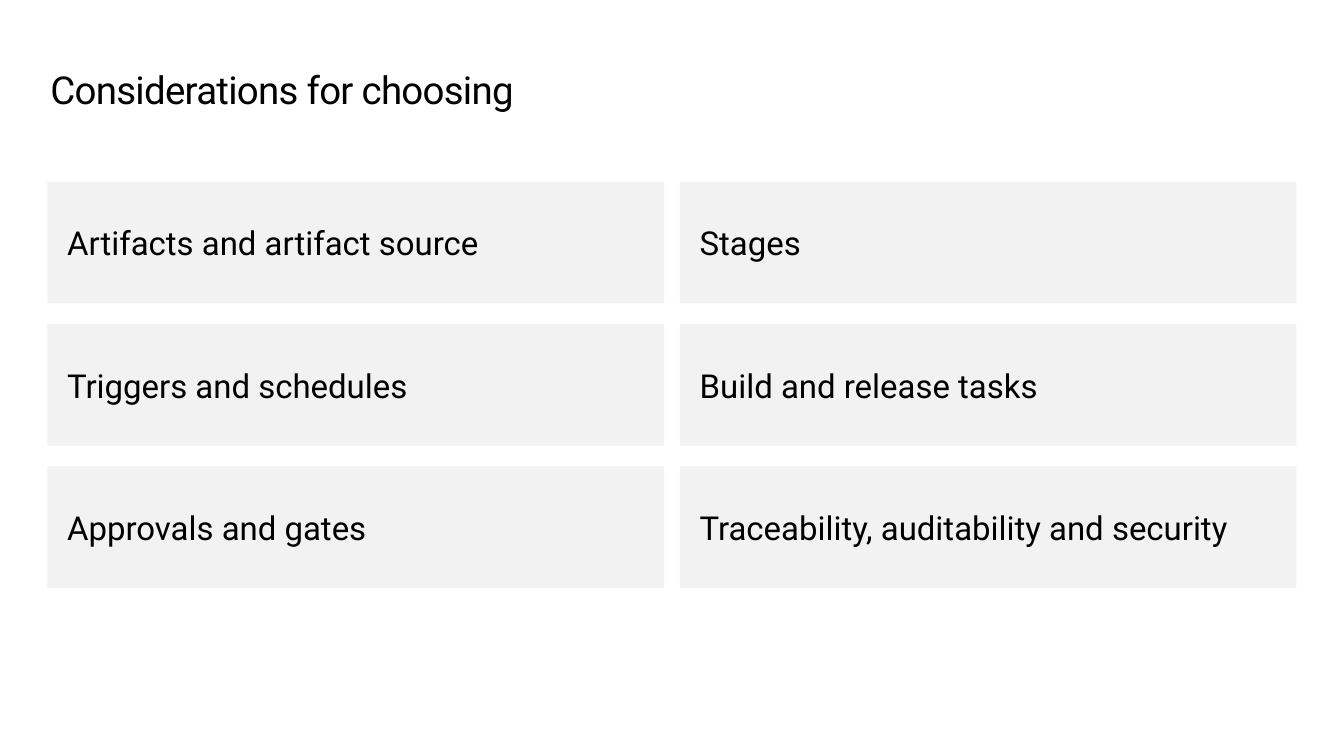
import dataclasses

import pptx
import pptx.dml.color
import pptx.enum.shapes
import pptx.enum.text
import pptx.util

Inches = pptx.util.Inches
Pt = pptx.util.Pt
RGB = pptx.dml.color.RGBColor


@dataclasses.dataclass(frozen=True)
class Theme:
    font: str = "Roboto"
    text: RGB = RGB(0, 0, 0)
    card: RGB = RGB(0xF2, 0xF2, 0xF2)
    title_size: Pt = Pt(28)
    card_size: Pt = Pt(24)


THEME = Theme()

TITLE = "Considerations for choosing"
COLUMNS = [
    ["Artifacts and artifact source", "Triggers and schedules",
     "Approvals and gates"],
    ["Stages", "Build and release tasks",
     "Traceability, auditability and security"],
]

CARD_LEFT, CARD_TOP = 0.48, 1.84
CARD_WIDTH, CARD_HEIGHT = 6.24, 1.23
COLUMN_STEP, ROW_STEP = 6.4, 1.44


def set_margins(tf, side, end):
    tf.margin_left = tf.margin_right = Inches(side)
    tf.margin_top = tf.margin_bottom = Inches(end)


def add_run(p, text, size):
    p.alignment = pptx.enum.text.PP_ALIGN.LEFT
    r = p.add_run()
    r.text = text
    r.font.name = THEME.font
    r.font.size = size
    r.font.color.rgb = THEME.text
    return r


def add_title(s, text):
    sp = s.shapes.title
    sp.left, sp.top = Inches(0.51), Inches(0.69)
    sp.width, sp.height = Inches(12.61), Inches(0.45)
    tf = sp.text_frame
    tf.word_wrap = True
    tf.auto_size = pptx.enum.text.MSO_AUTO_SIZE.SHAPE_TO_FIT_TEXT
    tf.vertical_anchor = pptx.enum.text.MSO_ANCHOR.TOP
    set_margins(tf, 0, 0)
    p = tf.paragraphs[0]
    p.line_spacing = Pt(32)
    r = add_run(p, text, THEME.title_size)
    r.font._element.set("spc", "-50")  # letter spacing, 1/100 pt


def add_card(s, text, left, top):
    sp = s.shapes.add_shape(
        pptx.enum.shapes.MSO_SHAPE.RECTANGLE, Inches(left), Inches(top),
        Inches(CARD_WIDTH), Inches(CARD_HEIGHT))
    sp.shadow.inherit = False
    sp.fill.solid()
    sp.fill.fore_color.rgb = THEME.card
    sp.line.fill.background()
    tf = sp.text_frame
    tf.word_wrap = True
    tf.vertical_anchor = pptx.enum.text.MSO_ANCHOR.MIDDLE
    set_margins(tf, 0.2, 0.15)
    add_run(tf.paragraphs[0], text, THEME.card_size)


def main():
    prs = pptx.Presentation()
    prs.slide_width, prs.slide_height = Inches(13.6), Inches(7.65)
    s = prs.slides.add_slide(prs.slide_layouts.get_by_name("Title Only"))
    add_title(s, TITLE)
    for col, labels in enumerate(COLUMNS):
        for row, label in enumerate(labels):
            add_card(s, label, CARD_LEFT + col * COLUMN_STEP,
                     CARD_TOP + row * ROW_STEP)
    prs.save("out.pptx")


if __name__ == "__main__":
    main()
